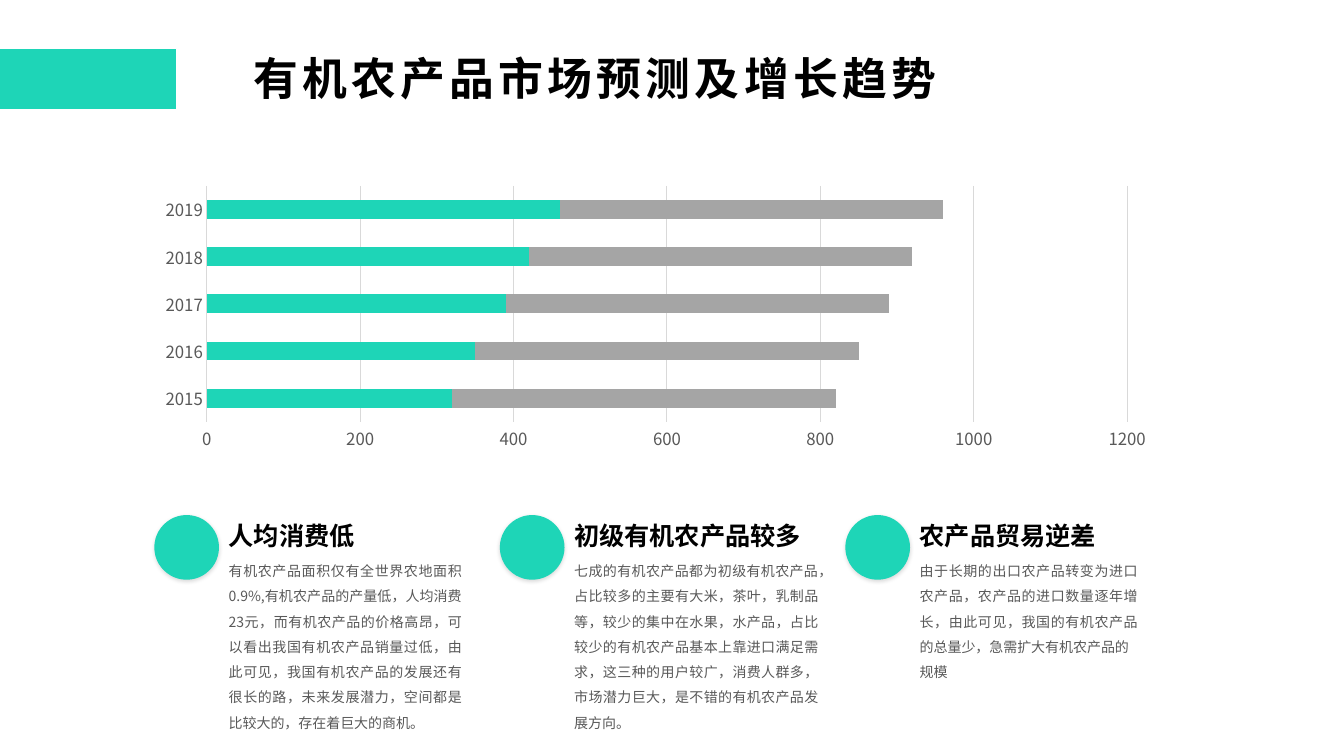
from lxml import etree
from pptx import Presentation
from pptx.chart.data import CategoryChartData
from pptx.dml.color import RGBColor
from pptx.enum.chart import XL_CHART_TYPE, XL_TICK_MARK
from pptx.enum.shapes import MSO_SHAPE
from pptx.enum.text import MSO_ANCHOR, MSO_AUTO_SIZE, PP_ALIGN
from pptx.oxml import parse_xml
from pptx.oxml.ns import nsdecls, qn
from pptx.util import Pt

STACKED = XL_CHART_TYPE.BAR_STACKED
NO_TICK = XL_TICK_MARK.NONE
RECT, OVAL = MSO_SHAPE.RECTANGLE, MSO_SHAPE.OVAL
TOP, MIDDLE = MSO_ANCHOR.TOP, MSO_ANCHOR.MIDDLE
FIT = MSO_AUTO_SIZE.SHAPE_TO_FIT_TEXT
LEFT, JUSTIFY = PP_ALIGN.LEFT, PP_ALIGN.JUSTIFY

TEAL = RGBColor(0x1E, 0xD5, 0xB7)
GRAY = RGBColor(0xA5, 0xA5, 0xA5)
PALE = RGBColor(0xD9, 0xD9, 0xD9)
DARK = RGBColor(0x59, 0x59, 0x59)
BLACK = RGBColor(0, 0, 0)
WHITE = RGBColor(0xFF, 0xFF, 0xFF)
PLUM = RGBColor(0xB0, 0x32, 0x62)
FONT = "Noto Sans CJK SC"

SHADOW = (
    f'<a:effectLst {nsdecls("a")}><a:outerShdw blurRad="38100" dist="12700" dir="5400000">'
    '<a:srgbClr val="000000"><a:alpha val="15000"/></a:srgbClr></a:outerShdw></a:effectLst>'
)


def bend(start, *arcs):
    points = [start]
    for b, c, d in arcs:
        a = points[-1]
        for step in range(1, 9):
            t = step / 8
            u = 1 - t
            points.append(tuple(
                u**3 * p + 3 * u * u * t * q + 3 * u * t * t * r + t**3 * s
                for p, q, r, s in zip(a, b, c, d)
            ))
    return points


def box(x1, y1, x2, y2):
    return [(x1, y1), (x2, y1), (x2, y2), (x1, y2)]


def ring(x, y, r):
    k = 0.55 * r
    return bend(
        (x, y - r),
        ((x + k, y - r), (x + r, y - k), (x + r, y)),
        ((x + r, y + k), (x + k, y + r), (x, y + r)),
        ((x - k, y + r), (x - r, y + k), (x - r, y)),
        ((x - r, y - k), (x - k, y - r), (x, y - r)),
    )


CAMERA = [
    [(24.5, 19.4), (24.5, 18), (29.5, 18), (29.5, 9.4), (17.3, 9.4), (17.3, 18),
     (22.3, 18), (22.3, 19.4), (15.1, 19.4), (15.1, 18.7), (12.2, 18.7), (12.2, 19.4),
     (9.8, 19.4), (9.8, 36.2), (36.7, 36.2), (36.7, 19.4)],
    box(18.3, 10.6, 28.5, 16.6),
    ring(23.3, 28.1, 5.2),
    box(31.7, 21.6, 34.6, 23),
]
LETTER = [
    box(10.2, 13.6, 36.2, 32.1),
    [(35.3, 15.8), (26.6, 23), (35.3, 30.2), (35.3, 31), (25.9, 23.8), (23.1, 26),
     (20.2, 23.8), (10.9, 31), (10.9, 30.2), (19.4, 23), (10.9, 15.8), (10.9, 14.4),
     (23.1, 24), (35.3, 14.4)],
]
MOUSE = [
    bend(
        (32.4, 11.5),
        ((31.7, 8.6), (29.5, 7.9), (25.2, 7.2)),
        ((21.6, 6.5), (16.6, 8.6), (16.6, 8.6)),
        ((12.2, 10.8), (14.4, 20.9), (14.4, 21.6)),
        ((14.4, 22.3), (13.7, 30.2), (13.7, 31.7)),
        ((13.7, 32.4), (15.1, 36), (18, 38.2)),
        ((20.9, 39.6), (26.6, 39.6), (29.5, 36.7)),
        ((33.1, 34.6), (32.4, 29.5), (32.4, 29.5)),
        ((32.4, 29.5), (31.7, 24.5), (32.4, 21.6)),
        ((33.1, 19.4), (33.1, 14.4), (32.4, 11.5)),
    ),
    bend(
        (25.9, 15.8),
        ((25.9, 18.7), (24.5, 20.2), (23.8, 20.2)),
        ((22.3, 20.9), (21.6, 18), (21.6, 18)),
        ((20.2, 10.8), (22.3, 8.6), (22.3, 8.6)),
        ((23, 7.9), (23.8, 7.9), (23.8, 7.9)),
        ((25.9, 9.4), (25.9, 13), (25.9, 15.8)),
    ),
]
WHEEL = [bend(
    (23.8, 10.1),
    ((23.8, 10.1), (22.3, 9.4), (22.3, 11.5)),
    ((22.3, 13), (22.3, 15.1), (23, 15.1)),
    ((24.5, 15.1), (24.5, 14.4), (24.5, 12.2)),
    ((24.5, 10.8), (24.5, 10.1), (23.8, 10.1)),
)]

TOPICS = [
    ("人均消费低", 106, 180.7,
     ["有机农产品面积仅有全世界农地面积0.9%,有机农产品的产量低，人均消费23元，而有机农产品的价格高昂，可以看出我国有机农产品销量过低，由此可见，我国有机农产品的发展还有很长的路，未来发展潜力，空间都是比较大的，存在着巨大的商机。"],
     [(CAMERA, WHITE)]),
    ("初级有机农产品较多", 179, 188.6,
     ["七成的有机农产品都为初级有机农产品，占比较多的主要有大米，茶叶，乳制品等，较少的集中在水果，水产品，占比较少的有机农产品基本上靠进口满足需求，这三种的用户较广，消费人群多，市场潜力巨大，是不错的有机农产品发展方向。"],
     [(LETTER, WHITE)]),
    ("农产品贸易逆差", 142.5, 169.9,
     ["由于长期的出口农产品转变为进口农产品，农产品的进口数量逐年增长，由此可见，我国的有机农产品的总量少，急需扩大有机农产品的", "规模"],
     [(MOUSE, WHITE), (WHEEL, PLUM)]),
]


class Deck:
    def __init__(self, slide):
        self.slide = slide
        self.shapes = slide.shapes

    def text(self, lines, x, y, w, h, size=10, color=DARK, bold=False, font=FONT,
             align=LEFT, anchor=TOP, wrap=True, lead=None, track=0, fit=True):
        frame = self.shapes.add_textbox(Pt(x), Pt(y), Pt(w), Pt(h)).text_frame
        frame.word_wrap = wrap
        frame.vertical_anchor = anchor
        if fit:
            frame.auto_size = FIT
        for i, line in enumerate(lines):
            para = frame.add_paragraph() if i else frame.paragraphs[0]
            para.alignment, para.line_spacing = align, lead
            run = para.add_run()
            run.text = line
            run.font.size, run.font.bold, run.font.name = Pt(size), bold, font
            run.font.color.rgb = color
            props = run.font._element
            etree.SubElement(props, qn("a:ea")).set("typeface", FONT)
            if track:
                props.set("spc", str(track * 100))

    def block(self, kind, x, y, w, h, edge=None, home=None):
        shape = (home or self.shapes).add_shape(kind, Pt(x), Pt(y), Pt(w), Pt(h))
        shape.shadow.inherit = False
        shape.fill.solid()
        shape.fill.fore_color.rgb = TEAL
        if edge:
            shape.line.color.rgb, shape.line.width = edge, Pt(1)
        else:
            shape.line.fill.background()
        return shape

    def icon(self, x, y, parts):
        home = self.shapes.add_group_shape().shapes
        props = self.block(OVAL, x, y, 46.2, 46.2, home=home)._element.spPr
        props.replace(props.find(qn("a:effectLst")), parse_xml(SHADOW))
        for loops, color in parts:
            loops = [[(px * 100, py * 100) for px, py in loop] for loop in loops]
            pen = home.build_freeform(*loops[0][0], scale=127)
            pen.add_line_segments(loops[0][1:])
            for loop in loops[1:]:
                pen.move_to(*loop[0])
                pen.add_line_segments(loop[1:])
            shape = pen.convert_to_shape(Pt(x), Pt(y))
            shape.shadow.inherit = False
            shape.fill.solid()
            shape.fill.fore_color.rgb = color
            shape.line.fill.background()

    def chart(self, x, y, w, h, years, rows):
        data = CategoryChartData()
        data.categories = years
        for i, (values, color) in enumerate(rows, 1):
            data.add_series(f"Series {i}", values)
        chart = self.shapes.add_chart(STACKED, Pt(x), Pt(y), Pt(w), Pt(h), data).chart
        chart.has_legend = chart.has_title = False
        chart.font.name, chart.font.size = FONT, Pt(10)
        plot = chart.plots[0]
        plot.gap_width, plot.overlap, plot.vary_by_categories = 150, 100, False
        for series, (values, color) in zip(plot.series, rows):
            series.format.fill.solid()
            series.format.fill.fore_color.rgb = color
        names, scale = chart.category_axis, chart.value_axis
        for axis in (names, scale):
            axis.major_tick_mark = axis.minor_tick_mark = NO_TICK
            font = axis.tick_labels.font
            font.size, font.name, font.color.rgb = Pt(12), FONT, DARK
        names.has_major_gridlines = False
        scale.has_major_gridlines = True
        for line in (names.format.line, scale.major_gridlines.format.line):
            line.color.rgb, line.width = PALE, Pt(0.75)
        scale.format.line.fill.background()
        scale.minimum_scale, scale.maximum_scale, scale.major_unit = 0, 1200, 200


def main():
    show = Presentation()
    show.slide_width, show.slide_height = Pt(960), Pt(540)
    deck = Deck(show.slides.add_slide(show.slide_layouts[6]))
    deck.slide.background.fill.solid()
    deck.slide.background.fill.fore_color.rgb = WHITE
    deck.chart(103.7, 128.9, 729.4, 197.3, [str(year) for year in range(2015, 2020)], [
        ([310, 350, 390, 420, 460], TEAL),
        ([10, 0, 0, 0, 0], TEAL),
        ([500] * 5, GRAY),
    ])
    deck.text(["有机农产品市场预测及增长趋势"], 174.2, 33.8, 696.2, 43.9, size=32,
              color=BLACK, bold=True, anchor=MIDDLE, track=3, fit=False)
    for i, (head, wide, span, body, parts) in enumerate(TOPICS):
        x, y = 110.25 + 246.8 * i, 367.9
        deck.icon(x, y, parts)
        deck.text(body, x + 46, y + 24.5, span, 134.6, align=JUSTIFY, lead=1.5)
        deck.text([head], x + 46, y, wide, 28.8, size=18, color=BLACK, bold=True,
                  font="Arial", wrap=False)
    deck.block(RECT, -2.2, 34.6, 128.2, 43.9, edge=WHITE)
    show.save("out.pptx")


if __name__ == "__main__":
    main()
